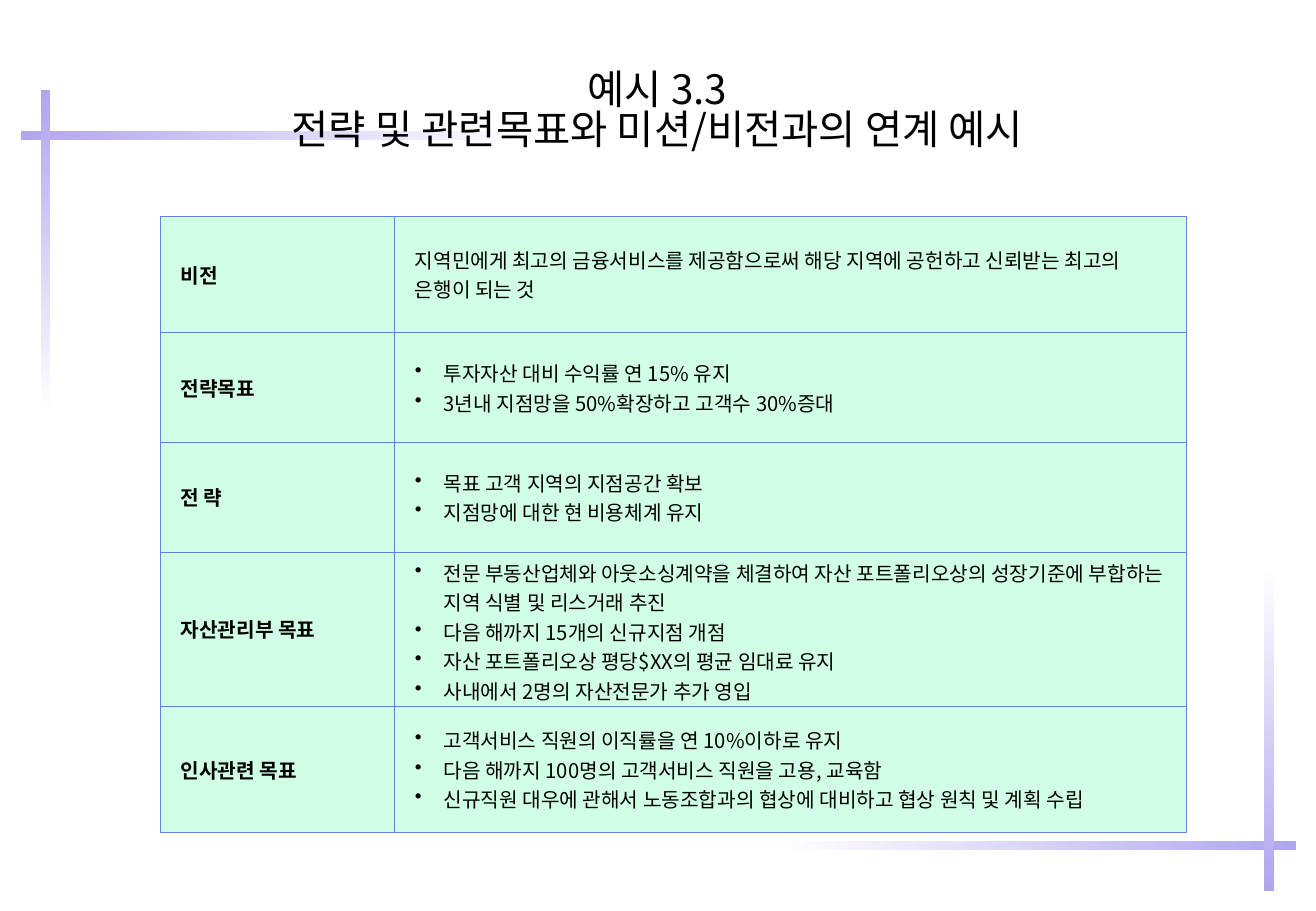
from dataclasses import dataclass

from lxml.etree import SubElement
from pptx import Presentation
from pptx.dml.color import RGBColor
from pptx.enum.shapes import MSO_SHAPE
from pptx.enum.text import MSO_ANCHOR, PP_ALIGN
from pptx.oxml.ns import qn
from pptx.slide import Slide
from pptx.table import _Cell
from pptx.text.text import _Paragraph
from pptx.util import Cm, Pt


@dataclass(frozen=True)
class Theme:
    font: str = "Noto Sans CJK KR"
    ink: str = "000000"
    accent: str = "AFA6EE"
    paper: str = "FFFFFF"
    cell: str = "D1FFE6"
    border: str = "6781D5"
    title_size: float = 24
    body_size: float = 12
    border_width: float = 0.45


@dataclass(frozen=True)
class Bar:
    left: float
    top: float
    width: float
    height: float
    start: str
    end: str
    angle: int


@dataclass(frozen=True)
class GoalRow:
    label: str
    lines: tuple[str, ...]
    height: float
    bulleted: bool = True


THEME = Theme()
BAR_THICKNESS, BAR_ACROSS, BAR_DOWN = 0.2, 10.8, 6.78
BARS = (
    Bar(0.43, 2.74, BAR_ACROSS, BAR_THICKNESS, THEME.accent, THEME.paper, 0),
    Bar(0.85, 1.89, BAR_THICKNESS, BAR_DOWN, THEME.accent, THEME.paper, 270),
    Bar(16.31, 17.58, BAR_ACROSS, BAR_THICKNESS, THEME.paper, THEME.accent, 0),
    Bar(26.45, 11.85, BAR_THICKNESS, BAR_DOWN, THEME.paper, THEME.accent, 270),
)
TITLE_LINES = ("예시 3.3", "전략 및 관련목표와 미션/비전과의 연계 예시")
COLUMN_WIDTHS = (4.9, 16.56)
GOAL_ROWS = (
    GoalRow("비전", (
        "지역민에게 최고의 금융서비스를 제공함으로써 해당 지역에 공헌하고 신뢰받는 최고의 은행이 되는 것",
    ), 2.44, False),
    GoalRow("전략목표", (
        "투자자산 대비 수익률 연 15% 유지",
        "3년내 지점망을 50%확장하고 고객수 30%증대",
    ), 2.29),
    GoalRow("전 략", (
        "목표 고객 지역의 지점공간 확보",
        "지점망에 대한 현 비용체계 유지",
    ), 2.29),
    GoalRow("자산관리부 목표", (
        "전문 부동산업체와 아웃소싱계약을 체결하여 자산 포트폴리오상의 성장기준에 부합하는 지역 식별 및 리스거래 추진",
        "다음 해까지 15개의 신규지점 개점",
        "자산 포트폴리오상 평당$XX의 평균 임대료 유지",
        "사내에서 2명의 자산전문가 추가 영입",
    ), 3.23),
    GoalRow("인사관련 목표", (
        "고객서비스 직원의 이직률을 연 10%이하로 유지",
        "다음 해까지 100명의 고객서비스 직원을 고용, 교육함",
        "신규직원 대우에 관해서 노동조합과의 협상에 대비하고 협상 원칙 및 계획 수립",
    ), 2.64),
)


def add_span(para: _Paragraph, text: str, size: float, bold: bool = False) -> None:
    span = para.add_run()
    span.text = text
    span.font.name = THEME.font
    span.font.size = Pt(size)
    span.font.bold = bold
    span.font.color.rgb = RGBColor.from_string(THEME.ink)
    SubElement(span.font._element, qn("a:ea"), typeface=THEME.font)


def add_bullet(para: _Paragraph) -> None:
    properties = para._p.get_or_add_pPr()
    properties.set("marL", str(Cm(0.6)))
    properties.set("indent", str(-Cm(0.6)))
    color = SubElement(properties, qn("a:buClr"))
    SubElement(color, qn("a:srgbClr"), val=THEME.ink)
    SubElement(properties, qn("a:buChar"), char="•")


def add_borders(cell: _Cell) -> None:
    properties = cell._tc.get_or_add_tcPr()
    for side in ("lnL", "lnR", "lnT", "lnB"):
        line = SubElement(properties, qn(f"a:{side}"), w=str(Pt(THEME.border_width)))
        fill = SubElement(line, qn("a:solidFill"))
        SubElement(fill, qn("a:srgbClr"), val=THEME.border)


def fill_cell(cell: _Cell, lines: tuple[str, ...], bold: bool, bulleted: bool) -> None:
    add_borders(cell)
    cell.fill.solid()
    cell.fill.fore_color.rgb = RGBColor.from_string(THEME.cell)
    cell.vertical_anchor = MSO_ANCHOR.MIDDLE
    cell.margin_left = cell.margin_right = Cm(0.43)
    cell.margin_top = cell.margin_bottom = Cm(0.13)
    frame = cell.text_frame
    for index, text in enumerate(lines):
        para = frame.add_paragraph() if index else frame.paragraphs[0]
        if bulleted:
            add_bullet(para)
        add_span(para, text, THEME.body_size, bold)


def draw_bar(page: Slide, bar: Bar) -> None:
    shape = page.shapes.add_shape(
        MSO_SHAPE.RECTANGLE, Cm(bar.left), Cm(bar.top), Cm(bar.width), Cm(bar.height)
    )
    shape.shadow.inherit = False
    shape.line.fill.background()
    shape.fill.gradient()
    shape.fill.gradient_angle = bar.angle
    for stop, color in zip(shape.fill.gradient_stops, (bar.start, bar.end)):
        stop.color.rgb = RGBColor.from_string(color)


def draw_title(page: Slide) -> None:
    box = page.shapes.add_textbox(Cm(1.37), Cm(0.76), Cm(24.77), Cm(3.18))
    frame = box.text_frame
    frame.word_wrap = True
    frame.vertical_anchor = MSO_ANCHOR.MIDDLE
    para = frame.paragraphs[0]
    para.alignment = PP_ALIGN.CENTER
    para.line_spacing = 0.83
    for index, text in enumerate(TITLE_LINES):
        if index:
            para.add_line_break()
        add_span(para, text, THEME.title_size)


def draw_goal_table(page: Slide) -> None:
    table = page.shapes.add_table(
        len(GOAL_ROWS), len(COLUMN_WIDTHS), Cm(3.35), Cm(4.52),
        Cm(sum(COLUMN_WIDTHS)), Cm(sum(goal.height for goal in GOAL_ROWS)),
    ).table
    table.first_row = False
    table.horz_banding = False
    for column, width in zip(table.columns, COLUMN_WIDTHS):
        column.width = Cm(width)
    for row, goal in zip(table.rows, GOAL_ROWS):
        row.height = Cm(goal.height)
        label_cell, goal_cell = row.cells
        fill_cell(label_cell, (goal.label,), True, False)
        fill_cell(goal_cell, goal.lines, False, goal.bulleted)


def main() -> None:
    deck = Presentation()
    deck.slide_width, deck.slide_height = Cm(27.53), Cm(19.05)
    page = deck.slides.add_slide(deck.slide_layouts[6])
    for bar in BARS:
        draw_bar(page, bar)
    draw_title(page)
    draw_goal_table(page)
    deck.save("out.pptx")


if __name__ == "__main__":
    main()
